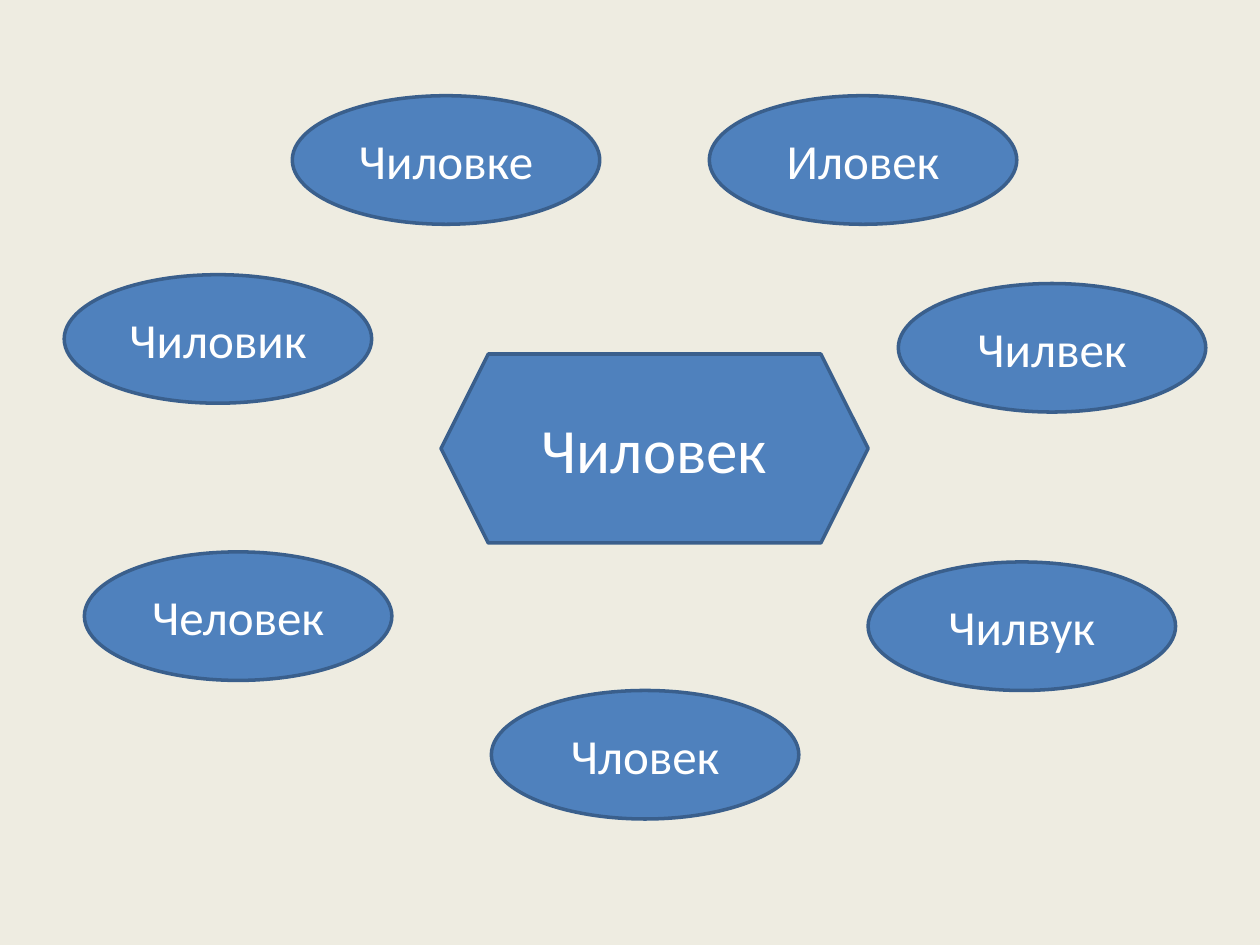
from dataclasses import dataclass

from pptx import Presentation
from pptx.dml.color import RGBColor
from pptx.enum.shapes import MSO_SHAPE
from pptx.enum.text import MSO_ANCHOR, PP_ALIGN
from pptx.util import Inches, Pt

HEXAGON, ELLIPSE = MSO_SHAPE.HEXAGON, MSO_SHAPE.OVAL
MIDDLE, CENTER = MSO_ANCHOR.MIDDLE, PP_ALIGN.CENTER
BLANK_LAYOUT = 6
COLUMNS, ROWS = 100, 75

CORE_WORD = ("Чиловек", 35, 28.1)
VARIANTS = [
    ("Чиловик", 5.1, 21.8),
    ("Человек", 6.7, 43.8),
    ("Чловек", 39, 54.8),
    ("Чиловке", 23.2, 7.6),
    ("Иловек", 56.3, 7.6),
    ("Чилвек", 71.3, 22.5),
    ("Чилвук", 68.9, 44.6),
]


@dataclass(frozen=True)
class Theme:
    background: RGBColor = RGBColor.from_string("EEECE1")
    fill: RGBColor = RGBColor.from_string("4F81BD")
    outline: RGBColor = RGBColor.from_string("3A5F8C")
    text: RGBColor = RGBColor.from_string("FFFFFF")
    font: str = "Calibri"
    core_size: int = 36
    variant_size: int = 28
    line_width: int = 2


class WordMap:
    """Draws words on a slide; lengths are in grid columns and rows."""

    def __init__(self, deck, theme):
        self.theme = theme
        self.slide = deck.slides.add_slide(deck.slide_layouts[BLANK_LAYOUT])
        self.column = deck.slide_width / COLUMNS
        self.row = deck.slide_height / ROWS
        background = self.slide.background.fill
        background.solid()
        background.fore_color.rgb = theme.background

    def core(self, word, left, top):
        self._node(HEXAGON, word, left, top, 33.9, 15, self.theme.core_size)

    def variant(self, word, left, top):
        self._node(ELLIPSE, word, left, top, 24.4, 10.2, self.theme.variant_size)

    def _node(self, outline, word, left, top, width, height, size):
        node = self.slide.shapes.add_shape(
            outline,
            round(left * self.column), round(top * self.row),
            round(width * self.column), round(height * self.row),
        )
        node.shadow.inherit = False
        node.fill.solid()
        node.fill.fore_color.rgb = self.theme.fill
        node.line.color.rgb = self.theme.outline
        node.line.width = Pt(self.theme.line_width)
        frame = node.text_frame
        frame.word_wrap = True
        frame.vertical_anchor = MIDDLE
        label = frame.paragraphs[0]
        label.text = word
        label.alignment = CENTER
        label.font.name = self.theme.font
        label.font.size = Pt(size)
        label.font.color.rgb = self.theme.text


def main():
    deck = Presentation()
    deck.slide_width, deck.slide_height = Inches(10), Inches(7.5)
    word_map = WordMap(deck, Theme())
    word_map.core(*CORE_WORD)
    for variant in VARIANTS:
        word_map.variant(*variant)
    deck.save("out.pptx")


if __name__ == "__main__":
    main()
